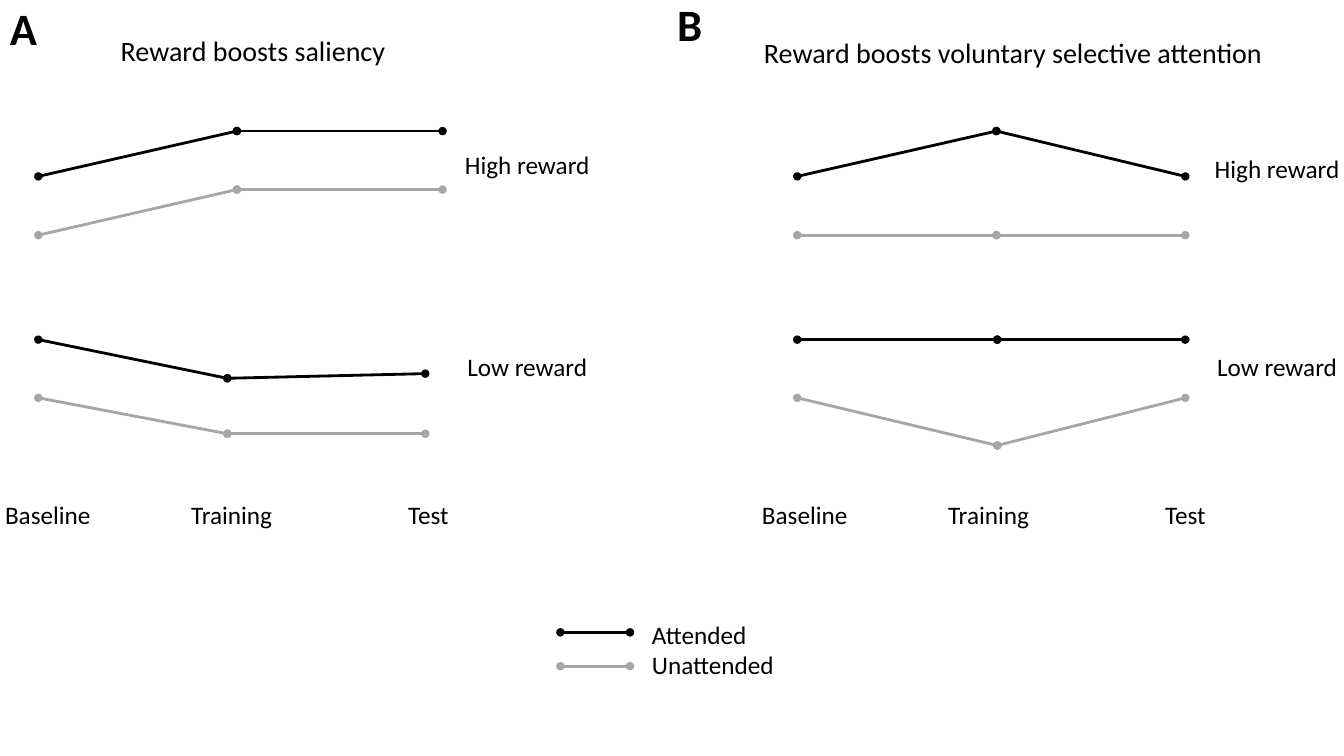
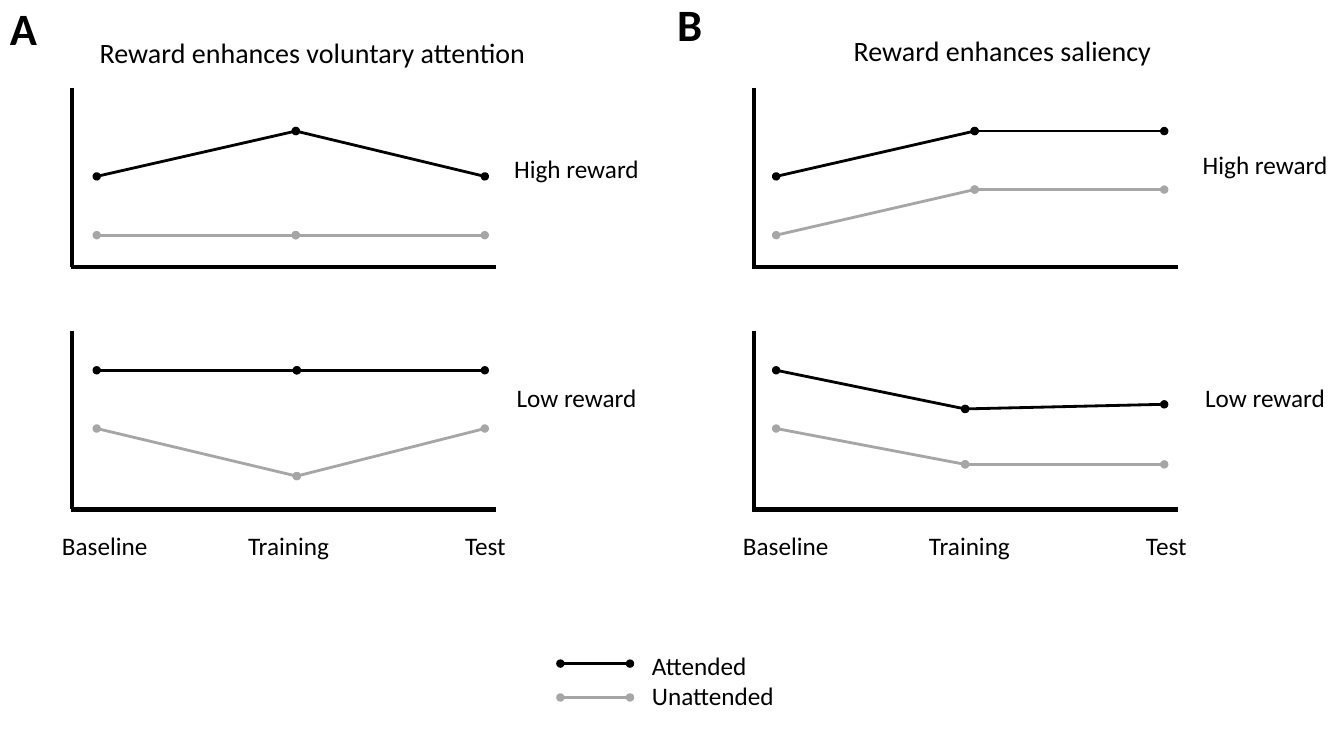
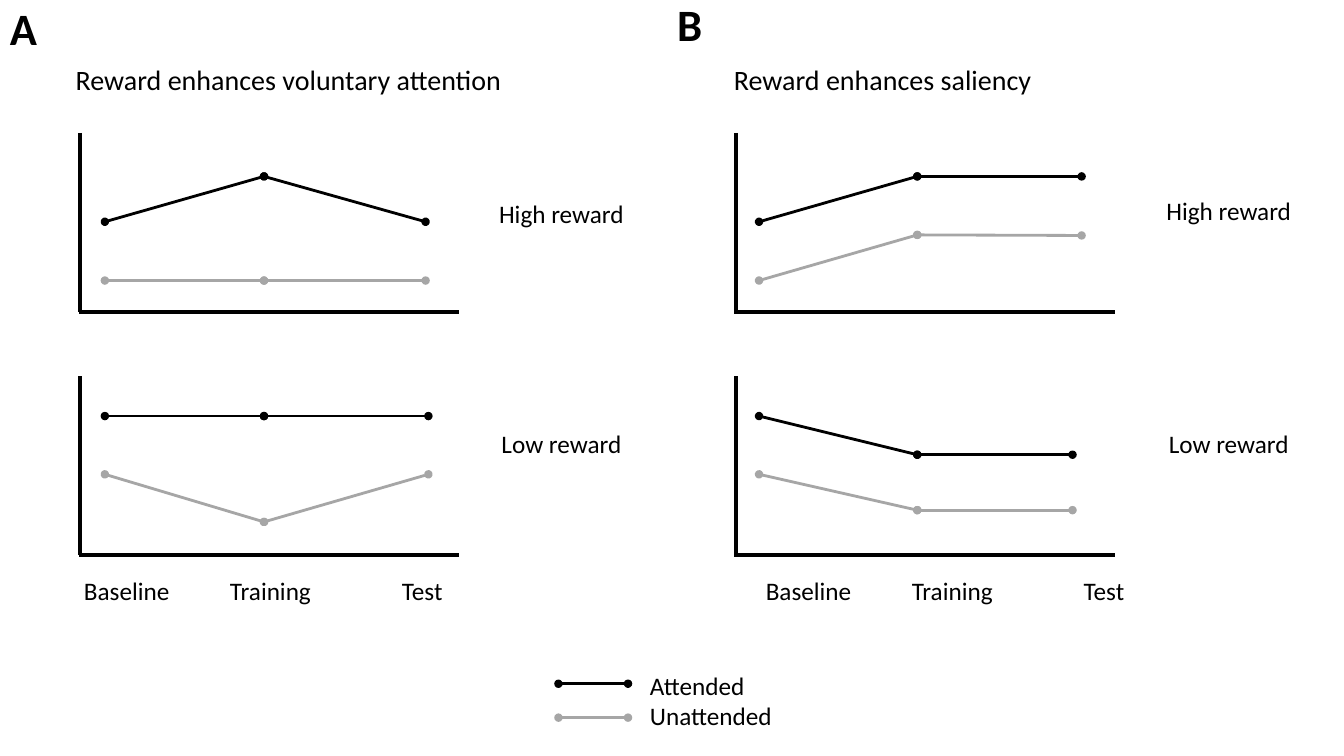
"""Build three slides of reward predictions, each with two panels of line plots."""
import pptx
import pptx.util
import pptx.dml.color
import pptx.enum.shapes
import pptx.enum.text
import pptx.oxml.ns
import lxml.etree

Pt = pptx.util.Pt
ALIGN = pptx.enum.text.PP_ALIGN
FONT = "Calibri"
COLORS = {"Attended": "000000", "Unattended": "A6A6A6", "text": "000000"}
PHASES = ("Baseline", "Training", "Test")
LETTERS = {"A": (0, -3), "B": (476.6, -5.8)}
REWARDS = ("High reward", "Low reward")
AXIS_SPAN = {"High reward": (-63.4, 64.5), "Low reward": (-28.4, 99.4)}

CURVES = {
    "saliency": {
        "High reward": {"Attended": (0, -32.4, -32.4), "Unattended": (42, 9.4, 9.4)},
        "Low reward": {"Attended": (0, 27.6, 24.3), "Unattended": (41.6, 67.2, 67.2)},
    },
    "voluntary": {
        "High reward": {"Attended": (0, -32.4, 0), "Unattended": (42, 42, 42)},
        "Low reward": {"Attended": (0, 0, 0), "Unattended": (41.6, 75.6, 41.6)},
    },
    "flat saliency": {
        "High reward": {"Attended": (0, -32.4, -32.4), "Unattended": (42, 9.4, 9.8)},
        "Low reward": {"Attended": (0, 27.6, 27.6), "Unattended": (41.6, 67.2, 67.2)},
    },
}
LABEL_SHIFT = {"saliency": (-23, 5), "voluntary": (-20.2, 5), "flat saliency": (-22.4, 5)}

SLIDES = [
    {
        "baselines": (126, 242.6), "heading_tops": (20.2, 21.6), "phase_top": 352.8,
        "tabs": (132.9, 287.9), "legend": (400.3, 438.5), "axis_length": 0,
        "panels": [
            {"heading": "Reward boosts saliency", "heading_center": 180.7, "heading_width": 216,
             "curves": "saliency", "columns": ((27.4, 169.2, 316.1), (27.4, 162.4, 303.8)),
             "label_center": 376.6, "phase_left": 3.6},
            {"heading": "Reward boosts voluntary selective attention", "heading_center": 723.6,
             "heading_width": 377.3, "curves": "voluntary",
             "columns": ((569.5, 711.7, 846.7), (569.5, 712.4, 846.7)),
             "label_center": 912.2, "phase_left": 544.3},
        ],
    },
    {
        "baselines": (126, 264.5), "heading_tops": (21.6, 20.2), "phase_top": 375.1,
        "tabs": (132.9, 287.9), "legend": (400.3, 460.8), "axis_length": 303,
        "panels": [
            {"heading": "Reward enhances voluntary attention", "heading_center": 223.2,
             "heading_width": 377.3, "curves": "voluntary",
             "columns": ((69.1, 211.3, 346.3), (69.1, 212, 346.3)),
             "label_center": 411.8, "phase_left": 44.3, "axis_left": 51.4},
            {"heading": "Reward enhances saliency", "heading_center": 716, "heading_width": 231,
             "curves": "saliency", "columns": ((554.4, 696.2, 831.6), (554.4, 689.4, 831.6)),
             "label_center": 903.6, "phase_left": 530.7, "axis_left": 538.4},
        ],
    },
    {
        "baselines": (158.4, 297.2), "heading_tops": (41, 41), "phase_top": 407.5,
        "tabs": (104.3, 227.1), "legend": (398.9, 475.2), "axis_length": 270.5,
        "panels": [
            {"heading": "Reward enhances voluntary attention", "heading_center": 206,
             "heading_width": 377.3, "curves": "voluntary",
             "columns": ((74.9, 188.6, 304), (74.9, 188.6, 306)),
             "label_center": 401, "phase_left": 60, "axis_left": 57.2},
            {"heading": "Reward enhances saliency", "heading_center": 630.4,
             "heading_width": 231, "curves": "flat saliency",
             "columns": ((542.2, 655.2, 772.6), (542.2, 655.2, 766.1)),
             "label_center": 877.7, "phase_left": 547, "axis_left": 525.6},
        ],
    },
]


def add_text(page, lines, left, top, width, height, size, align=ALIGN.LEFT, bold=False, inset=7.2):
    box = page.shapes.add_textbox(Pt(left), Pt(top), Pt(width), Pt(height))
    frame = box.text_frame
    frame.word_wrap = True
    frame.margin_left = frame.margin_right = Pt(inset)
    frame.text = "\n".join(lines)
    for para in frame.paragraphs:
        para.alignment = align
        for span in para.runs:
            span.font.name = FONT
            span.font.size = Pt(size)
            span.font.bold = bold
            span.font.color.rgb = pptx.dml.color.RGBColor.from_string(COLORS["text"])
    return box


def add_line(page, start, end, color, width, dots):
    line = page.shapes.add_connector(
        pptx.enum.shapes.MSO_CONNECTOR.STRAIGHT, *(Pt(value) for value in start + end))
    line.line.color.rgb = pptx.dml.color.RGBColor.from_string(color)
    line.line.width = Pt(width)
    properties = line._element.spPr
    if dots:
        outline = properties.find(pptx.oxml.ns.qn("a:ln"))
        for tag in ("a:headEnd", "a:tailEnd"):
            lxml.etree.SubElement(outline, pptx.oxml.ns.qn(tag), type="oval")
    lxml.etree.SubElement(properties, pptx.oxml.ns.qn("a:effectLst"))


def add_phases(page, left, top, tabs):
    box = add_text(page, ["\t".join(PHASES)], left, top, 340, 29, 18, inset=0)
    settings = box.text_frame.paragraphs[0]._p.get_or_add_pPr()
    stops = lxml.etree.SubElement(settings, pptx.oxml.ns.qn("a:tabLst"))
    for position in tabs:
        lxml.etree.SubElement(
            stops, pptx.oxml.ns.qn("a:tab"), pos=str(int(Pt(position))), algn="l")


def add_plot(page, panel, reward, baseline, columns, label_shift, axis_length):
    for series, offsets in CURVES[panel["curves"]][reward].items():
        points = [(x, baseline + offset) for x, offset in zip(columns, offsets)]
        for start, end in zip(points, points[1:]):
            add_line(page, start, end, COLORS[series], 2, True)
    if axis_length:
        left = panel["axis_left"]
        top, bottom = (baseline + offset for offset in AXIS_SPAN[reward])
        add_line(page, (left, top), (left, bottom), COLORS["text"], 3, False)
        add_line(page, (left - 1, bottom), (left + axis_length, bottom), COLORS["text"], 3, False)
    add_text(page, [reward], panel["label_center"] - 48, baseline + label_shift,
             96, 29, 18, ALIGN.CENTER, inset=0)


def add_legend(page, left, top):
    names = ("Attended", "Unattended")
    for row, name in enumerate(names):
        y = top + 13.2 + 24.2 * row
        add_line(page, (left, y), (left + 49.7, y), COLORS[name], 2, True)
    add_text(page, names, left + 58.3, top, 111, 51, 18)


deck = pptx.Presentation()
deck.slide_width, deck.slide_height = Pt(960), Pt(540)
for content in SLIDES:
    page = deck.slides.add_slide(deck.slide_layouts[6])
    for panel, letter, heading_top in zip(content["panels"], LETTERS, content["heading_tops"]):
        width = panel["heading_width"]
        add_text(page, [letter], *LETTERS[letter], 33, 46, 32, bold=True)
        add_text(page, [panel["heading"]], panel["heading_center"] - width / 2, heading_top,
                 width, 32, 20, ALIGN.CENTER)
        for plot in zip(REWARDS, content["baselines"], panel["columns"],
                        LABEL_SHIFT[panel["curves"]]):
            add_plot(page, panel, *plot, content["axis_length"])
        add_phases(page, panel["phase_left"], content["phase_top"], content["tabs"])
    add_legend(page, *content["legend"])
deck.save("out.pptx")
